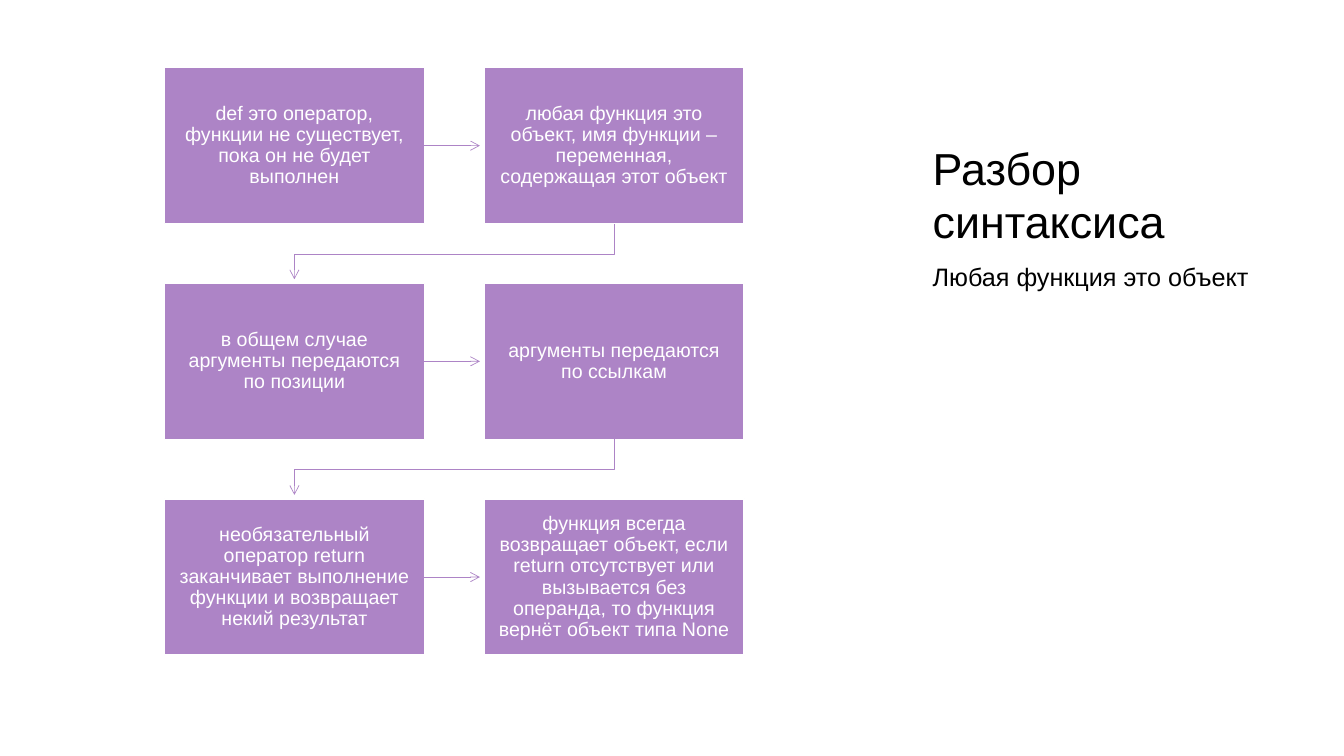
import pptx
import pptx.util
import pptx.dml.color
import pptx.enum.shapes
import pptx.enum.text
import pptx.oxml
import pptx.oxml.ns

Inches, Pt = pptx.util.Inches, pptx.util.Pt
PP_ALIGN, ANCHOR = pptx.enum.text.PP_ALIGN, pptx.enum.text.MSO_ANCHOR

TITLE = "Разбор синтаксиса"
SUBTITLE = "Любая функция это объект"
STEPS = [
    ("def это оператор, функции не существует, пока он не будет выполнен",
     "любая функция это объект, имя функции – переменная, содержащая этот объект"),
    ("в общем случае аргументы передаются по позиции",
     "аргументы передаются по ссылкам"),
    ("необязательный оператор return заканчивает выполнение функции и возвращает некий результат",
     "функция всегда возвращает объект, если return отсутствует или вызывается без операнда, "
     "то функция вернёт объект типа None"),
]
COLORS = {"violet": "AD84C6", "white": "FFFFFF", "black": "000000"}
FONT = "Arial"

LEFT, TOP = 1.63, 0.67
BOX_WIDTH, BOX_HEIGHT = 2.58, 1.55
COLUMN_STEP, ROW_STEP = 3.17, 2.14
ARROW_GAP = 0.04
ELBOW_DROP = 0.3
BOX_INSET = 0.13
SIDE_LEFT, SIDE_WIDTH = 9.25, 3.46


def color(name):
    return pptx.dml.color.RGBColor.from_string(COLORS[name])


def write(shape, text, size, color_name, align, anchor, inset):
    """Fill the shape with one formatted paragraph and return it."""
    frame = shape.text_frame
    frame.text = text
    frame.word_wrap = True
    frame.auto_size = pptx.enum.text.MSO_AUTO_SIZE.NONE
    frame.vertical_anchor = anchor
    frame.margin_left = frame.margin_right = Inches(inset)
    frame.margin_top = frame.margin_bottom = Inches(inset)
    para = frame.paragraphs[0]
    para.alignment = align
    para.font.name = FONT
    para.font.size = Pt(size)
    para.font.color.rgb = color(color_name)
    return para


def style_arrow(arrow):
    arrow.line.color.rgb = color("violet")
    arrow.line.width = Pt(0.5)
    head = pptx.oxml.parse_xml(
        '<a:tailEnd %s type="arrow"/>' % pptx.oxml.ns.nsdecls("a"))
    arrow.line._get_or_add_ln().append(head)


def add_step(page, text, left, top):
    box = page.shapes.add_shape(
        pptx.enum.shapes.MSO_SHAPE.RECTANGLE,
        Inches(left), Inches(top), Inches(BOX_WIDTH), Inches(BOX_HEIGHT))
    box.shadow.inherit = False
    box.fill.solid()
    box.fill.fore_color.rgb = color("violet")
    box.line.color.rgb = color("white")
    box.line.width = Pt(1)
    para = write(box, text, 14, "white", PP_ALIGN.CENTER, ANCHOR.MIDDLE, BOX_INSET)
    para.line_spacing = 0.9


def add_straight_arrow(page, start, end, y):
    arrow = page.shapes.add_connector(
        pptx.enum.shapes.MSO_CONNECTOR.STRAIGHT,
        Inches(start), Inches(y), Inches(end), Inches(y))
    style_arrow(arrow)
    arrow._element.spPr.append(
        pptx.oxml.parse_xml("<a:effectLst %s/>" % pptx.oxml.ns.nsdecls("a")))


def add_elbow_arrow(page, points):
    corners = [(Inches(x), Inches(y)) for x, y in points]
    builder = page.shapes.build_freeform(*corners[0])
    builder.add_line_segments(corners[1:], close=False)
    arrow = builder.convert_to_shape()
    arrow.shadow.inherit = False
    arrow.fill.background()
    style_arrow(arrow)


def add_side_text(page):
    title = page.shapes.title
    title.left, title.top = Inches(SIDE_LEFT), Inches(0.66)
    title.width, title.height = Inches(SIDE_WIDTH), Inches(1.8)
    write(title, TITLE, 32, "black", PP_ALIGN.LEFT, ANCHOR.BOTTOM, 0)

    subtitle = page.shapes.add_textbox(
        Inches(SIDE_LEFT), Inches(2.56), Inches(SIDE_WIDTH), Inches(3.94))
    para = write(subtitle, SUBTITLE, 18, "black", PP_ALIGN.LEFT, ANCHOR.TOP, 0)
    para.line_spacing = 1.1
    para.space_before = Pt(8)


def add_flow(page):
    first_center = LEFT + BOX_WIDTH / 2
    second_center = first_center + COLUMN_STEP
    for row, texts in enumerate(STEPS):
        top = TOP + row * ROW_STEP
        for column, text in enumerate(texts):
            add_step(page, text, LEFT + column * COLUMN_STEP, top)
        add_straight_arrow(page, LEFT + BOX_WIDTH, LEFT + COLUMN_STEP - ARROW_GAP,
                           top + BOX_HEIGHT / 2)
        if row < len(STEPS) - 1:
            bottom = top + BOX_HEIGHT
            turn = bottom + ELBOW_DROP
            add_elbow_arrow(page, [
                (second_center, bottom), (second_center, turn),
                (first_center, turn), (first_center, top + ROW_STEP - ARROW_GAP)])


def main():
    deck = pptx.Presentation()
    deck.slide_width, deck.slide_height = Inches(13.33), Inches(7.5)
    page = deck.slides.add_slide(deck.slide_layouts[5])
    add_side_text(page)
    add_flow(page)
    deck.save("out.pptx")


if __name__ == "__main__":
    main()
